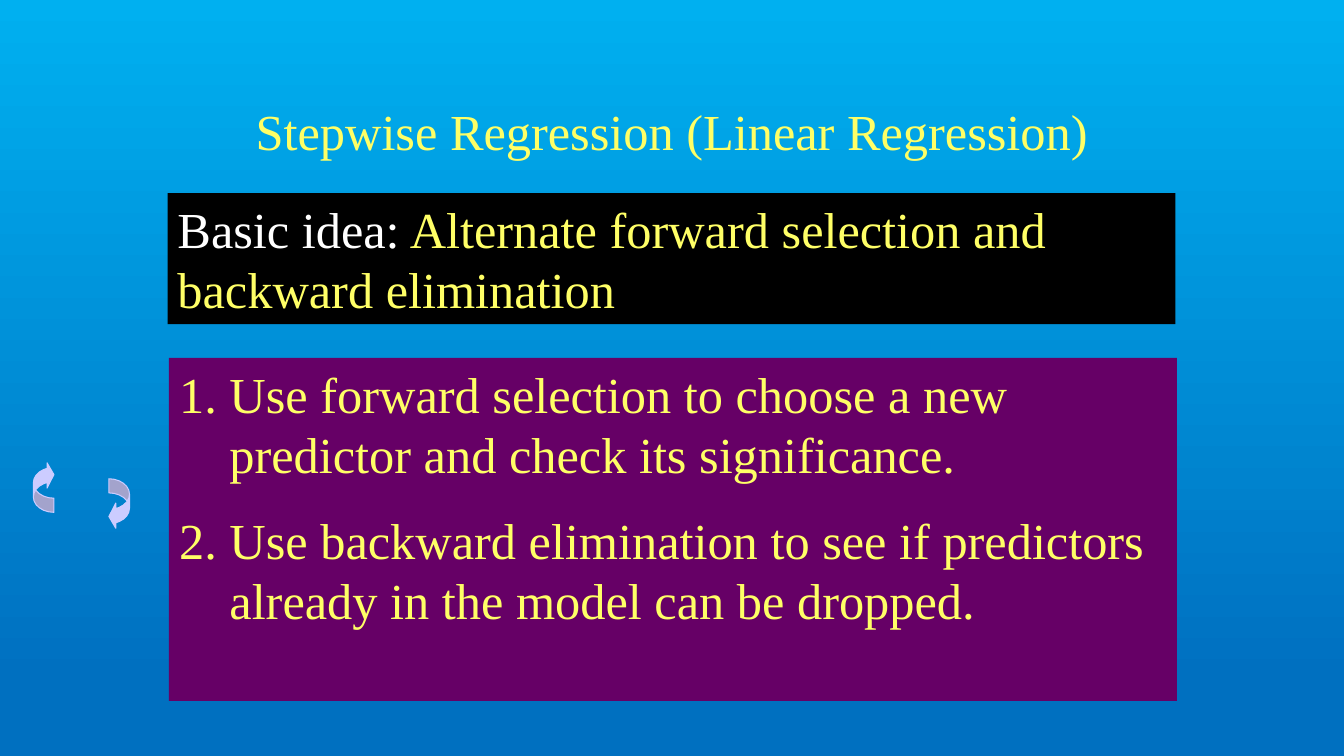
from lxml import etree
from pptx import Presentation
from pptx.dml.color import RGBColor
from pptx.enum import shapes, text
from pptx.oxml.ns import qn
from pptx.util import Pt

YELLOW = "FFFF66"
WHITE = "FFFFFF"
BLACK = "000000"
PURPLE = "660066"
LILAC = "CCCCFF"


def colour(value):
    return RGBColor.from_string(value)


def place(shape, left, top, width, height):
    shape.left, shape.top = Pt(left), Pt(top)
    shape.width, shape.height = Pt(width), Pt(height)


def fill_solid(shape, value):
    shape.fill.solid()
    shape.fill.fore_color.rgb = colour(value)


def style(para, align=text.PP_ALIGN.LEFT):
    para.alignment = align
    para.font.name = "Times New Roman"
    para.font.size = Pt(36)
    para.font.color.rgb = colour(YELLOW)


def paint_background(page):
    fill = page.background.fill
    fill.gradient()
    fill.gradient_angle = 270
    for stop, position, value in zip(fill.gradient_stops, (0, 0.9), ("00B0F0", "0070C0")):
        stop.position = position
        stop.color.rgb = colour(value)


def add_title(page, words):
    title = page.shapes.title
    place(title, 72, 48, 816, 90)
    title.text_frame.text = words
    title.text_frame.vertical_anchor = text.MSO_ANCHOR.MIDDLE
    style(title.text_frame.paragraphs[0], text.PP_ALIGN.CENTER)


def add_idea(page, label, words):
    box = page.shapes.add_shape(shapes.MSO_SHAPE.RECTANGLE, 0, 0, 0, 0)
    place(box, 119.7, 138, 720, 93.6)
    box.shadow.inherit = False
    fill_solid(box, BLACK)
    box.line.fill.background()
    frame = box.text_frame
    frame.word_wrap = True
    frame.vertical_anchor = text.MSO_ANCHOR.TOP
    para = frame.paragraphs[0]
    style(para)
    para.space_before = Pt(18)
    for wording, value in ((label, WHITE), (words, YELLOW)):
        span = para.add_run()
        span.text = wording
        span.font.name = "Times New Roman"
        span.font.size = Pt(36)
        span.font.color.rgb = colour(value)


def add_steps(page, steps):
    body = page.placeholders[1]
    place(body, 120.7, 255.6, 720, 245)
    fill_solid(body, PURPLE)
    frame = body.text_frame
    frame.text = "\n".join(steps)
    frame.vertical_anchor = text.MSO_ANCHOR.TOP
    for para in frame.paragraphs:
        style(para)
        para.space_before = Pt(18)
        # Automatic numbers with a hanging indent
        properties = para._p.get_or_add_pPr()
        properties.set("marL", str(Pt(36)))
        properties.set("indent", str(-Pt(36)))
        number = etree.Element(qn("a:buAutoNum"), type="arabicPeriod")
        properties.find(qn("a:spcBef")).addnext(number)


def add_curved_arrow(page, left, top, flip):
    arrow = page.shapes.add_shape(shapes.MSO_SHAPE.CURVED_RIGHT_ARROW, 0, 0, 0, 0)
    place(arrow, left, top, 14.7, 36)
    for index, value in enumerate((0.686, 1.371, 0.333)):
        arrow.adjustments[index] = value
    arrow.shadow.inherit = False
    fill_solid(arrow, LILAC)
    arrow.line.color.rgb = colour(LILAC)
    arrow.line.width = Pt(0.75)
    arrow.element.spPr.find(qn("a:xfrm")).set(flip, "1")


def main():
    deck = Presentation()
    deck.slide_width, deck.slide_height = Pt(960), Pt(540)
    page = deck.slides.add_slide(deck.slide_layouts[1])
    paint_background(page)

    # Heading and text panels
    add_title(page, "Stepwise Regression (Linear Regression)")
    add_idea(page, "Basic idea:",
             " Alternate forward selection and backward elimination")
    add_steps(page, [
        "Use forward selection to choose a new predictor and check its significance.",
        "Use backward elimination to see if predictors already in the model can be dropped.",
    ])

    # Cycle arrows
    add_curved_arrow(page, 77.8, 342, "flipH")
    add_curved_arrow(page, 23.8, 330, "flipV")

    deck.save("out.pptx")


if __name__ == "__main__":
    main()
